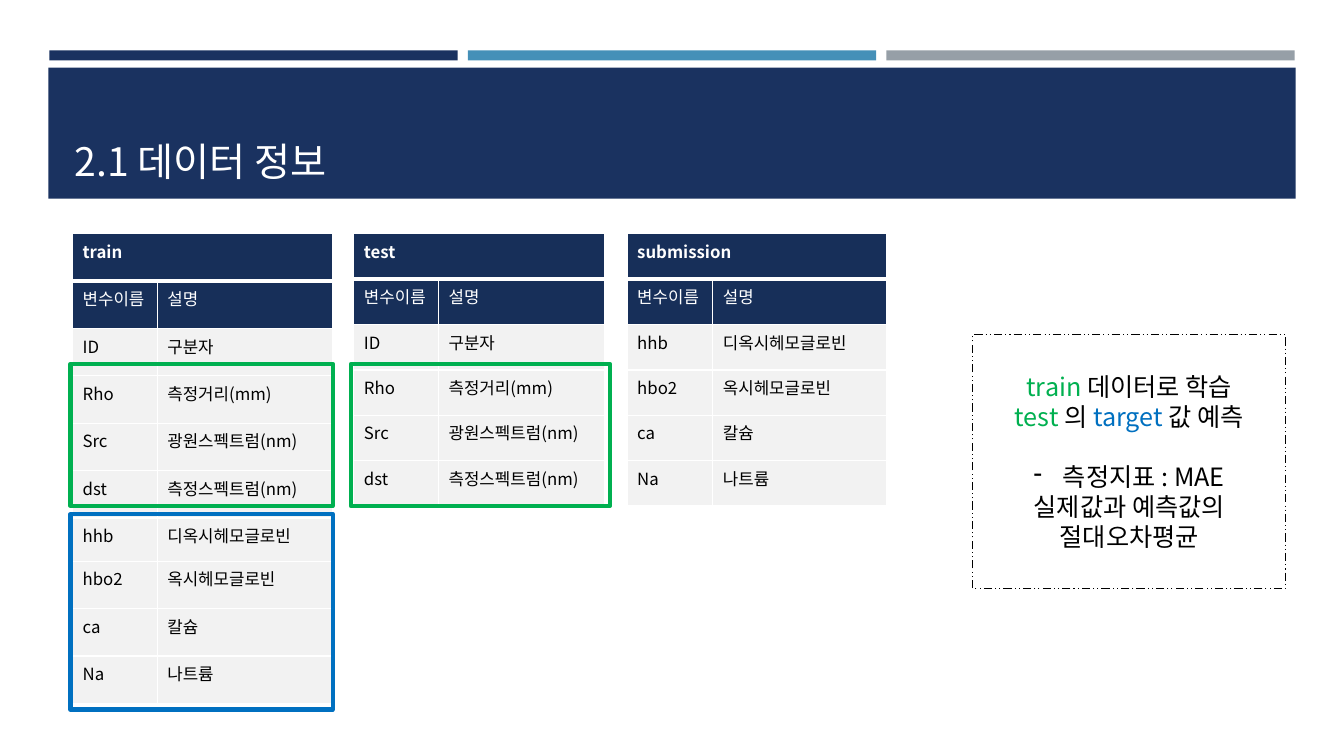
from lxml.etree import SubElement
from pptx import Presentation
from pptx.dml.color import RGBColor
from pptx.enum.dml import MSO_LINE
from pptx.enum.shapes import MSO_SHAPE as SHAPE
from pptx.enum.text import MSO_ANCHOR as ANCHOR, PP_ALIGN as ALIGN
from pptx.oxml import parse_xml
from pptx.oxml.ns import nsdecls, qn
from pptx.util import Inches, Pt

FONT = "Noto Sans CJK KR"
NAVY = RGBColor(0x1A, 0x32, 0x60)
HEADER_NAVY = RGBColor(0x17, 0x2F, 0x59)
SKY = RGBColor(0x45, 0x90, 0xB8)
GRAY = RGBColor(0x96, 0x9F, 0xA7)
LIGHT = RGBColor(0xF2, 0xF2, 0xF2)
GREEN = RGBColor(0x00, 0xB0, 0x50)
BLUE = RGBColor(0x00, 0x70, 0xC0)
BLACK = RGBColor(0, 0, 0)
WHITE = RGBColor(0xFF, 0xFF, 0xFF)


def add_text(paragraph, text, size, color, bold=False):
    run = paragraph.add_run()
    run.text = text
    run.font.color.rgb = color
    for name, value in {"name": FONT, "size": Pt(size), "bold": bold}.items():
        setattr(run.font, name, value)
    SubElement(run.font._element, qn("a:ea"), typeface=FONT)


def add_box(place, fill=None, line=None, width=3):
    shape = slide.shapes.add_shape(SHAPE.RECTANGLE, *map(Inches, place))
    shape.shadow.inherit = False
    for part, color in ((shape.fill, fill), (shape.line.fill, line)):
        if color is None:
            part.background()
        else:
            part.solid()
            part.fore_color.rgb = color
    if line is not None:
        shape.line.width = Pt(width)
    return shape


presentation = Presentation()
presentation.slide_width = Inches(13.33)
presentation.slide_height = Inches(7.5)
slide = presentation.slides.add_slide(presentation.slide_layouts[6])

# Title band
for column, color in enumerate((NAVY, SKY, GRAY)):
    add_box((0.49 + 4.15 * column, 0.5, 4.05, 0.1), fill=color)
add_box((0.48, 0.67, 12.37, 1.3), fill=NAVY)
title = slide.shapes.add_textbox(*map(Inches, (0.64, 0.77, 12.06, 1.11))).text_frame
title.word_wrap = True
title.vertical_anchor = ANCHOR.BOTTOM
add_text(title.paragraphs[0], "2.1 데이터 정보", 28, WHITE)

# Variable tables
identifier = [("ID", "구분자")]
features = [("Rho", "측정거리(mm)"), ("Src", "광원스펙트럼(nm)"), ("dst", "측정스펙트럼(nm)")]
targets = [("hhb", "디옥시헤모글로빈"), ("hbo2", "옥시헤모글로빈"), ("ca", "칼슘"), ("Na", "나트륨")]
tables = [
    ("train", 0.72, (0.84, 1.74), 0.47, identifier + features + targets),
    ("test", 3.51, (0.84, 1.65), 0.45, identifier + features),
    ("submission", 6.22, (0.85, 1.72), 0.45, targets),
]
for name, left, widths, row_height, variables in tables:
    rows = [(name, ""), ("변수이름", "설명")] + variables
    table = slide.shapes.add_table(
        len(rows), 2, Inches(left), Inches(2.32),
        Inches(sum(widths)), Inches(row_height * len(rows))).table
    table.first_row = table.horz_banding = False
    for column, width in zip(table.columns, widths):
        column.width = Inches(width)
    for r, values in enumerate(rows):
        table.rows[r].height = Inches(0.43 if name == "train" and r == 6 else row_height)
        for c, value in enumerate(values):
            cell = table.cell(r, c)
            cell.fill.solid()
            cell.fill.fore_color.rgb = HEADER_NAVY if r < 2 else LIGHT
            if value:
                add_text(cell.text_frame.paragraphs[0], value, 12,
                         WHITE if r < 2 else BLACK, bold=r == 0)
            properties = cell._tc.get_or_add_tcPr()
            for index, side in enumerate("LRTB"):
                thick = (r, side) in ((0, "B"), (1, "T"))
                properties.insert(index, parse_xml(
                    f'<a:ln{side} {nsdecls("a")} w="{Pt(3 if thick else 1)}"><a:solidFill>'
                    f'<a:srgbClr val="{WHITE}"/></a:solidFill></a:ln{side}>'))
    table.cell(0, 0).merge(table.cell(0, 1))

# Frames around the target and feature rows
for place, color in (
    ((0.7, 5.1, 2.6, 1.94), BLUE),
    ((0.7, 3.61, 2.6, 1.41), GREEN),
    ((3.48, 3.61, 2.57, 1.41), GREEN),
):
    add_box(place, line=color)

# Task summary
summary = add_box((9.65, 3.32, 3.1, 2.52), line=BLACK, width=0.75)
summary.line.dash_style = MSO_LINE.DASH_DOT_DOT
frame = summary.text_frame
frame.word_wrap = True
frame.vertical_anchor = ANCHOR.MIDDLE
lines = [
    [("train ", GREEN), ("데이터로 학습", BLACK)],
    [("test ", GREEN), ("의 ", BLACK), ("target ", BLUE), ("값 예측", BLACK)],
    [("측정지표 : MAE", BLACK)],
    [("실제값과 예측값의 절대오차평균", BLACK)],
]
for index, runs in enumerate(lines):
    paragraph = frame.paragraphs[0] if index == 0 else frame.add_paragraph()
    paragraph.alignment = ALIGN.CENTER
    paragraph.line_spacing = Pt(21.5)
    for text, color in runs:
        add_text(paragraph, text, 18, color)
metric = frame.paragraphs[2]
metric.space_before = Pt(21.5)
bullet = metric._p.get_or_add_pPr()
bullet.set("marL", str(Inches(0.29)))
bullet.set("indent", str(-Inches(0.29)))
SubElement(bullet, qn("a:buChar"), char="-")

presentation.save("out.pptx")
